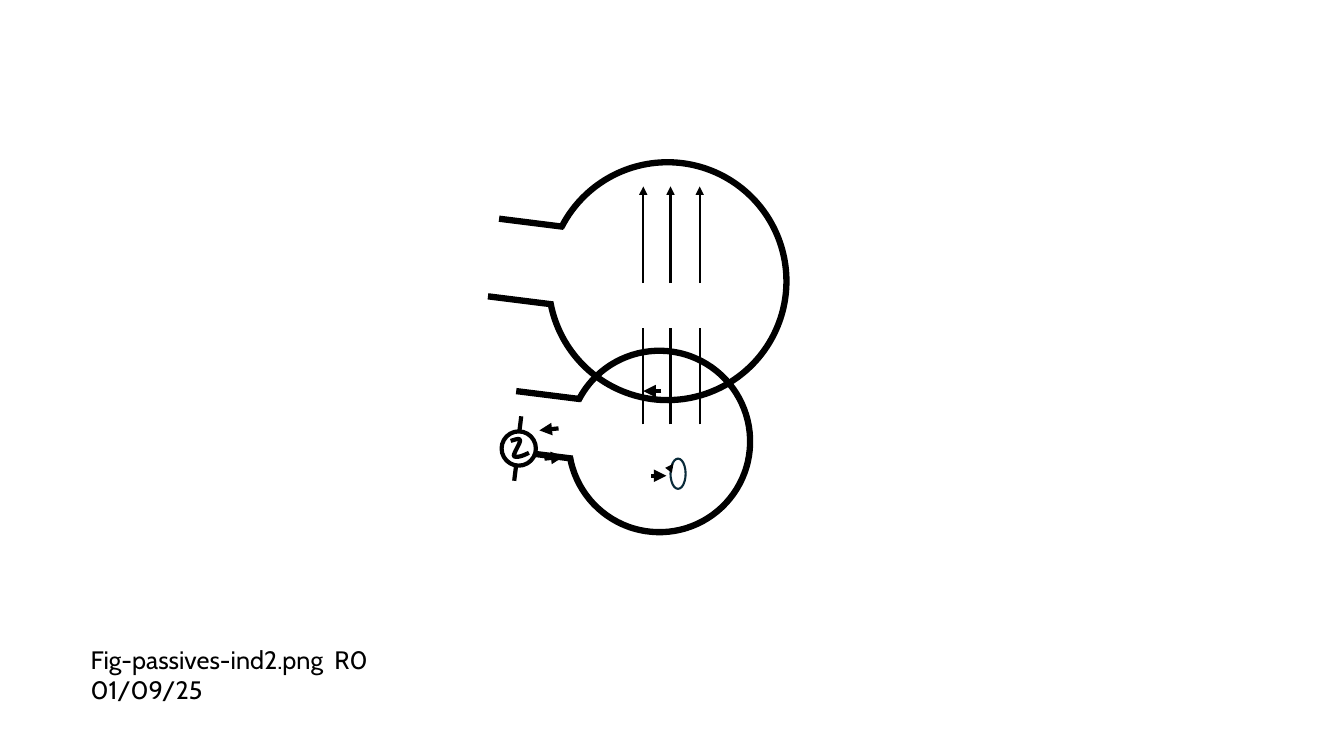
from lxml import etree
from pptx import Presentation
from pptx import util as u
from pptx.dml.color import RGBColor
from pptx.enum import shapes
from pptx.oxml import ns

BLACK = RGBColor(0, 0, 0)
WHITE = RGBColor(255, 255, 255)
NAVY = RGBColor(0x09, 0x2A, 0x39)

CAPTION = ["Fig-passives-ind2.png  R0", "01/09/25"]
CAPTION_FONT = "Cabin"
TILT = 46.5
COILS = [(6.62, 2.79, 1.18), (6.54, 4.38, 0.9)]
COIL_ANGLES = (160.26, 123.5)
LEAD_STARTS = [(4.95, 2.17), (4.84, 2.94), (5.12, 3.88), (5.04, 4.47)]
LEAD_SPAN = (0.64, 0.08)
FIELD_COLUMNS = [6.38, 6.65, 6.94]
FIELD_ROWS = [(4.21, 3.25, False), (2.81, 1.85, True)]
CURRENT_ARROWS = [
    (6.56, 3.88, 6.38, 3.88),
    (6.46, 4.72, 6.61, 4.72),
    (5.4, 4.55, 5.59, 4.53),
    (5.54, 4.25, 5.35, 4.27),
]
EDDY = (6.725, 4.7, 0.075, 0.15)
EDDY_ARROW = (6.65, 4.64, 6.68, 4.6)
SOURCE = (5.145, 4.45, 0.17, 0.17)
SOURCE_STUBS = [(5.15, 4.29, 5.17, 4.13), (5.12, 4.61, 5.1, 4.77)]
WAVE = [
    [(5.03, 4.45), (5.05, 4.41), (5.07, 4.36), (5.09, 4.38)],
    [(5.09, 4.38), (5.11, 4.39), (5.14, 4.52), (5.16, 4.53)],
    [(5.16, 4.53), (5.19, 4.53), (5.22, 4.47), (5.24, 4.4)],
]
WAVE_STEPS = 8


def inch(value):
    return u.Cm(value * 2.54)


def outline(part, width, color=BLACK):
    part.line.color.rgb = color
    part.line.width = u.Pt(width)


def add_line(slide, ends, width, arrow=False):
    line = slide.shapes.add_connector(
        shapes.MSO_CONNECTOR.STRAIGHT, *[inch(v) for v in ends])
    outline(line, width)
    properties = line._element.spPr
    if arrow:
        etree.SubElement(line.line._get_or_add_ln(), ns.qn("a:tailEnd"), type="triangle")
    etree.SubElement(properties, ns.qn("a:effectLst"))


def add_round(slide, preset, x, y, rx, ry, width, color=BLACK):
    part = slide.shapes.add_shape(
        preset, inch(x - rx), inch(y - ry), inch(2 * rx), inch(2 * ry))
    part.shadow.inherit = False
    outline(part, width, color)
    return part


def add_ellipse(slide, frame, width, color=BLACK):
    ellipse = add_round(slide, shapes.MSO_SHAPE.OVAL, *frame, width, color)
    ellipse.fill.solid()
    ellipse.fill.fore_color.rgb = WHITE


def add_coil(slide, x, y, radius):
    coil = add_round(slide, shapes.MSO_SHAPE.ARC, x, y, radius, radius, 4.5)
    coil.fill.background()
    for index, angle in enumerate(COIL_ANGLES):
        coil.adjustments[index] = angle * 0.6
    coil.rotation = TILT


def curve_point(controls, t):
    weights = [(1 - t) ** 3, 3 * t * (1 - t) ** 2, 3 * t ** 2 * (1 - t), t ** 3]
    return tuple(
        inch(sum(w * c[axis] for w, c in zip(weights, controls))) for axis in (0, 1))


def add_wave(slide):
    points = [curve_point(controls, step / WAVE_STEPS)
              for controls in WAVE for step in range(1, WAVE_STEPS + 1)]
    builder = slide.shapes.build_freeform(*curve_point(WAVE[0], 0), scale=1.0)
    builder.add_line_segments(points, close=False)
    wave = builder.convert_to_shape()
    wave.shadow.inherit = False
    wave.fill.background()
    outline(wave, 3)
    wave.rotation = TILT


def add_caption(slide):
    box = slide.shapes.add_textbox(inch(0.8), inch(6.34), inch(4.01), inch(0.4))
    box.text_frame.word_wrap = True
    paragraph = box.text_frame.paragraphs[0]
    for index, words in enumerate(CAPTION):
        if index:
            paragraph.add_line_break()
        run = paragraph.add_run()
        run.text = words
        run.font.name = CAPTION_FONT
        run.font.size = u.Pt(18)
        run.font.color.rgb = BLACK


def main():
    deck = Presentation()
    deck.slide_width, deck.slide_height = inch(13.33), inch(7.5)
    slide = deck.slides.add_slide(deck.slide_layouts[6])
    add_caption(slide)
    add_ellipse(slide, EDDY, 1.5, NAVY)
    add_line(slide, EDDY_ARROW, 1, True)
    for x, y in LEAD_STARTS:
        add_line(slide, (x, y, x + LEAD_SPAN[0], y + LEAD_SPAN[1]), 4.5)
    for coil in COILS:
        add_coil(slide, *coil)
    for arrow in CURRENT_ARROWS:
        add_line(slide, arrow, 3, True)
    for x in FIELD_COLUMNS:
        for bottom, top, pointed in FIELD_ROWS:
            add_line(slide, (x, bottom, x, top), 1.5, pointed)
    add_ellipse(slide, SOURCE, 3)
    for stub in SOURCE_STUBS:
        add_line(slide, stub, 3)
    add_wave(slide)
    deck.save("out.pptx")


if __name__ == "__main__":
    main()
